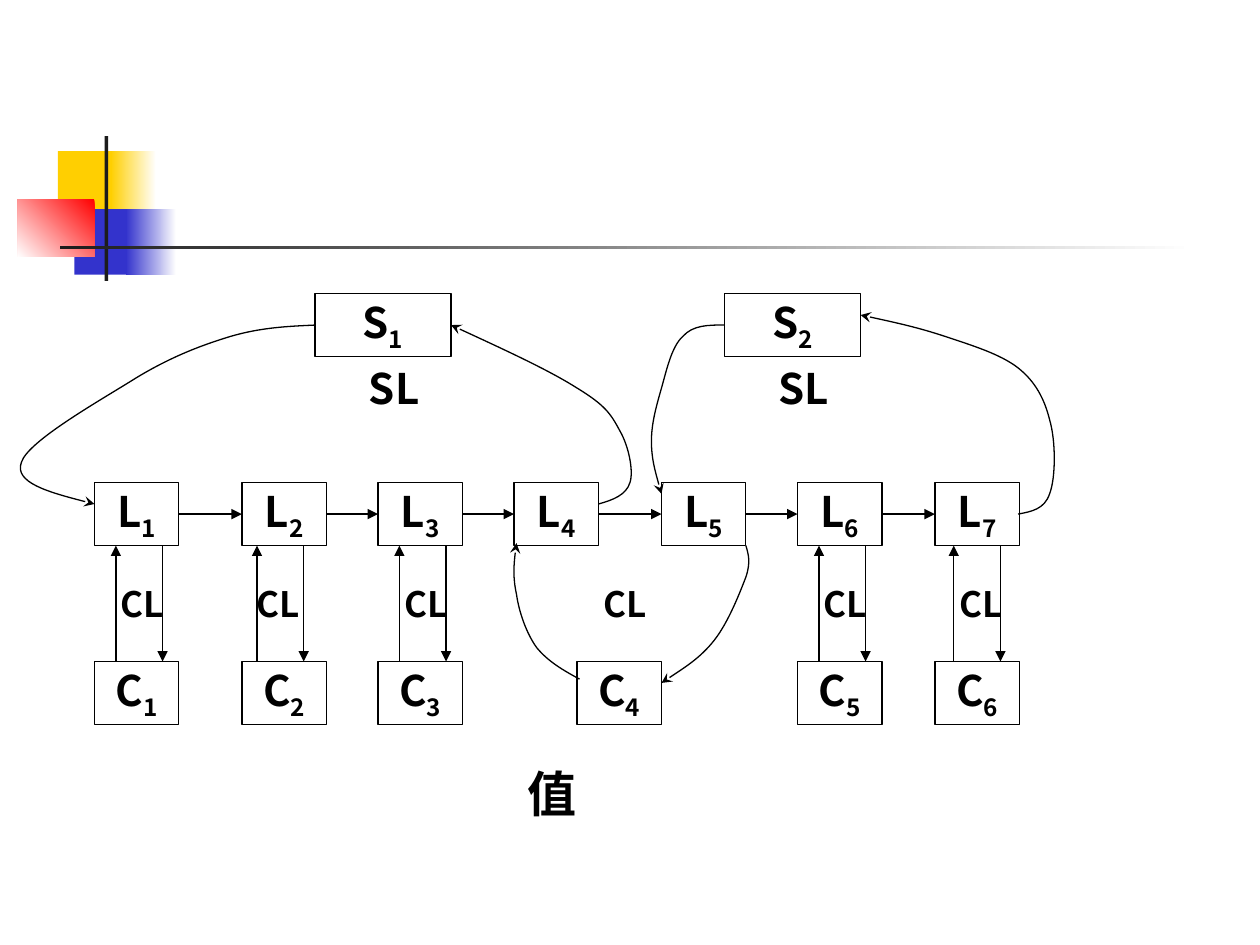
from dataclasses import dataclass
from itertools import pairwise

import pptx
import pptx.dml.color
import pptx.enum.shapes
import pptx.enum.text
import pptx.oxml
import pptx.oxml.ns
import pptx.util
from pptx.util import Inches


@dataclass(frozen=True)
class Theme:
    """Colours, font and sizes of the slide."""
    ink: str = "000000"
    white: str = "FFFFFF"
    yellow: str = "FFCF01"
    blue: str = "3333CC"
    red: str = "FF0000"
    dark: str = "1C1C1C"
    font: str = "Noto Sans CJK SC"
    box: int = 24
    label: int = 20
    caption: int = 28
    line: float = 0.75


T = Theme()
BOX_W, BOX_H = 0.67, 0.5
L_Y, C_Y, S_Y = 3.83, 5.25, 2.33
L_XS = (0.75, 1.92, 3, 4.08, 5.25, 6.33, 7.42)
S_XS = (2.5, 5.75)
CACHES = ((0.75, 0.67, 0.92), (1.92, 1.75, 2.04), (3, 2.92, 3.17),
          (4.58, 4.5, None), (6.33, 6.25, 6.5), (7.42, 7.33, 7.57))
CURVES = (
    [(2.5, 2.58), (2.28, 2.59), (2.07, 2.6), (1.83, 2.67), (1.6, 2.74), (1.36, 2.83), (1.08, 3),
     (0.81, 3.17), (0.22, 3.5), (0.17, 3.67), (0.11, 3.83), (0.43, 3.92), (0.75, 4)],
    [(4.75, 4), (4.86, 3.97), (4.97, 3.93), (5, 3.83), (5.03, 3.74), (4.99, 3.54), (4.92, 3.42),
     (4.85, 3.29), (4.81, 3.22), (4.58, 3.08), (4.36, 2.94), (3.97, 2.76), (3.58, 2.58)],
    [(5.75, 2.58), (5.62, 2.58), (5.5, 2.58), (5.42, 2.67), (5.33, 2.75), (5.29, 2.94), (5.25, 3.08),
     (5.21, 3.22), (5.17, 3.36), (5.17, 3.5), (5.17, 3.64), (5.21, 3.78), (5.25, 3.92)],
    [(8.08, 4.08), (8.19, 4.06), (8.29, 4.04), (8.33, 3.92), (8.38, 3.79), (8.38, 3.5), (8.33, 3.33),
     (8.29, 3.17), (8.22, 3.03), (8.08, 2.92), (7.94, 2.81), (7.71, 2.74), (7.5, 2.67),
     (7.29, 2.6), (7.06, 2.55), (6.83, 2.5)],
    [(5.92, 4.33), (5.94, 4.4), (5.96, 4.46), (5.92, 4.58), (5.87, 4.71), (5.78, 4.94), (5.67, 5.08),
     (5.56, 5.22), (5.4, 5.32), (5.25, 5.42)],
    [(4.6, 5.39), (4.47, 5.32), (4.35, 5.25), (4.26, 5.14), (4.18, 5.03), (4.12, 4.86), (4.1, 4.72),
     (4.07, 4.58), (4.08, 4.44), (4.1, 4.31)],
)


def rgb(value):
    """Return the colour object for a hex string."""
    return pptx.dml.color.RGBColor.from_string(value)


def style_line(sp, arrow=None):
    """Give a shape its thin dark line and an optional arrowhead."""
    sp.line.color.rgb = rgb(T.ink)
    sp.line.width = pptx.util.Pt(T.line)
    if arrow:
        pptx.oxml.ns.qn("a:tailEnd")
        ln = sp.line._get_or_add_ln()
        ln.append(pptx.oxml.parse_xml(
            f'<a:tailEnd {pptx.oxml.ns.nsdecls("a")} type="{arrow}"/>'))


def add_rect(s, x, y, w, h):
    """Add a rectangle without shadow."""
    sp = s.shapes.add_shape(pptx.enum.shapes.MSO_SHAPE.RECTANGLE,
                            Inches(x), Inches(y), Inches(w), Inches(h))
    sp.shadow.inherit = False
    return sp


def add_block(s, x, y, w, h, start, end=None, angle=180):
    """Add a borderless block with a solid or gradient fill."""
    sp = add_rect(s, x, y, w, h)
    sp.line.fill.background()
    if end is None:
        sp.fill.solid()
        sp.fill.fore_color.rgb = rgb(start)
        return
    sp.fill.gradient()
    sp.fill.gradient_angle = angle
    for stop, color in zip(sp.fill.gradient_stops, (start, end)):
        stop.color.rgb = rgb(color)


def write(sp, text, size, sub="", centred=True):
    """Write bold text with an optional subscript."""
    tf = sp.text_frame
    tf.text = text
    tf.word_wrap = not centred
    p = tf.paragraphs[0]
    if centred:
        tf.vertical_anchor = pptx.enum.text.MSO_ANCHOR.MIDDLE
        p.alignment = pptx.enum.text.PP_ALIGN.CENTER
    if sub:
        r = p.add_run()
        r.text = sub
        r._r.get_or_add_rPr().set("baseline", "-25000")
    for r in p.runs:
        r.font.size = pptx.util.Pt(size)
        r.font.bold = True
        r.font.color.rgb = rgb(T.ink)
        r.font.name = T.font
        r._r.get_or_add_rPr().append(pptx.oxml.parse_xml(
            f'<a:ea {pptx.oxml.ns.nsdecls("a")} typeface="{T.font}"/>'))


def add_box(s, x, y, letter, number, w=BOX_W):
    """Add an outlined box holding a letter and its index."""
    sp = add_rect(s, x, y, w, BOX_H)
    sp.fill.background()
    style_line(sp)
    write(sp, letter, T.box, str(number))
    return sp


def add_label(s, x, y, text, size, w=0.92, h=0.42, centred=True):
    """Add a free-standing label."""
    sp = s.shapes.add_textbox(Inches(x), Inches(y), Inches(w), Inches(h))
    write(sp, text, size, centred=centred)


def add_arrow(s, x1, y1, x2, y2):
    """Add a straight arrow."""
    cn = s.shapes.add_connector(pptx.enum.shapes.MSO_CONNECTOR.STRAIGHT,
                                Inches(x1), Inches(y1), Inches(x2), Inches(y2))
    style_line(cn, "triangle")
    cn._element.spPr.append(pptx.oxml.parse_xml(
        f'<a:effectLst {pptx.oxml.ns.nsdecls("a")}/>'))
    return cn


def add_curve(s, points):
    """Add a curved arrow through Bezier points, three to a segment."""
    start, *rest = [(Inches(x), Inches(y)) for x, y in points]
    builder = s.shapes.build_freeform(*start, scale=1.0)
    builder.add_line_segments(rest, close=False)
    sp = builder.convert_to_shape()
    sp.shadow.inherit = False
    sp.fill.background()
    style_line(sp, "stealth")
    segments = sp._element.xpath(".//a:lnTo")
    for i in range(0, len(segments), 3):
        bezier = pptx.oxml.parse_xml(f'<a:cubicBezTo {pptx.oxml.ns.nsdecls("a")}/>')
        segments[i].addprevious(bezier)
        for segment in segments[i:i + 3]:
            bezier.append(segment[0])
            segment.getparent().remove(segment)


def add_ornament(s):
    """Add the coloured squares and the crossing rules."""
    add_block(s, 0.46, 1.2, 0.48, 0.52, T.yellow)
    add_block(s, 0.88, 1.2, 0.36, 0.52, T.white, T.yellow)
    add_block(s, 0.59, 1.66, 0.46, 0.52, T.blue)
    add_block(s, 1, 1.66, 0.4, 0.52, T.white, T.blue)
    add_block(s, 0.14, 1.58, 0.61, 0.46, T.red, T.white, 225)
    add_block(s, 0.83, 1.08, 0.03, 1.15, T.dark)
    add_block(s, 0.48, 1.95, 9, 0.03, T.white, T.dark)


def main():
    """Build and save the slide."""
    prs = pptx.Presentation()
    prs.slide_width, prs.slide_height = Inches(10), Inches(7.5)
    s = prs.slides.add_slide(prs.slide_layouts[6])
    add_ornament(s)
    for i, x in enumerate(S_XS, 1):
        add_box(s, x, S_Y, "S", i, 1.08)
        add_label(s, x + 0.33, 2.83, "SL", T.box, 0.75, 0.5, centred=False)
    boxes = [add_box(s, x, L_Y, "L", i) for i, x in enumerate(L_XS, 1)]
    for left, right in pairwise(boxes):
        cn = add_arrow(s, 0, 0, 1, 0)
        cn.begin_connect(left, 3)
        cn.end_connect(right, 1)
    for i, (x, label_x, up_x) in enumerate(CACHES, 1):
        add_box(s, x, C_Y, "C", i)
        add_label(s, label_x, 4.58, "CL", T.label)
        if up_x is not None:
            add_arrow(s, up_x + 0.37, L_Y + BOX_H, up_x + 0.37, C_Y)
            add_arrow(s, up_x, C_Y, up_x, L_Y + BOX_H)
    for points in CURVES:
        add_curve(s, points)
    add_label(s, 3.92, 6.08, "值", T.caption)
    prs.save("out.pptx")


if __name__ == "__main__":
    main()
